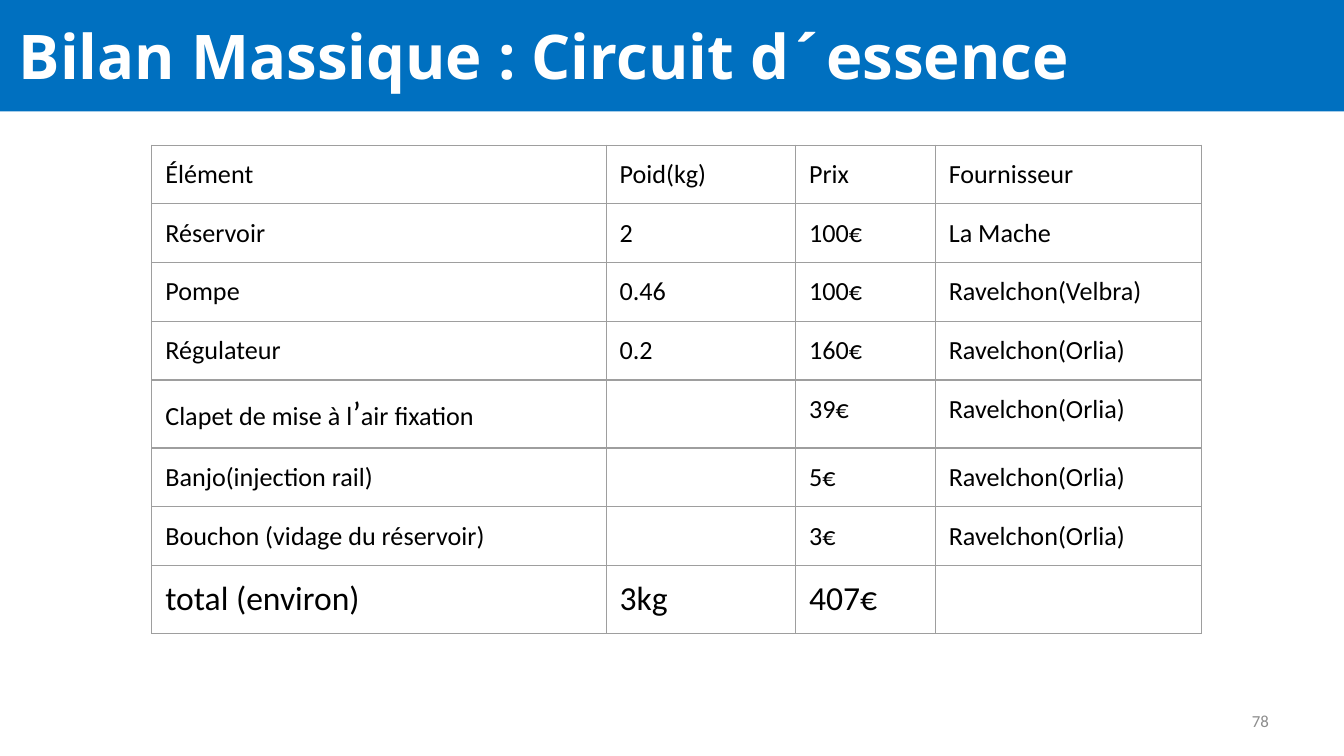
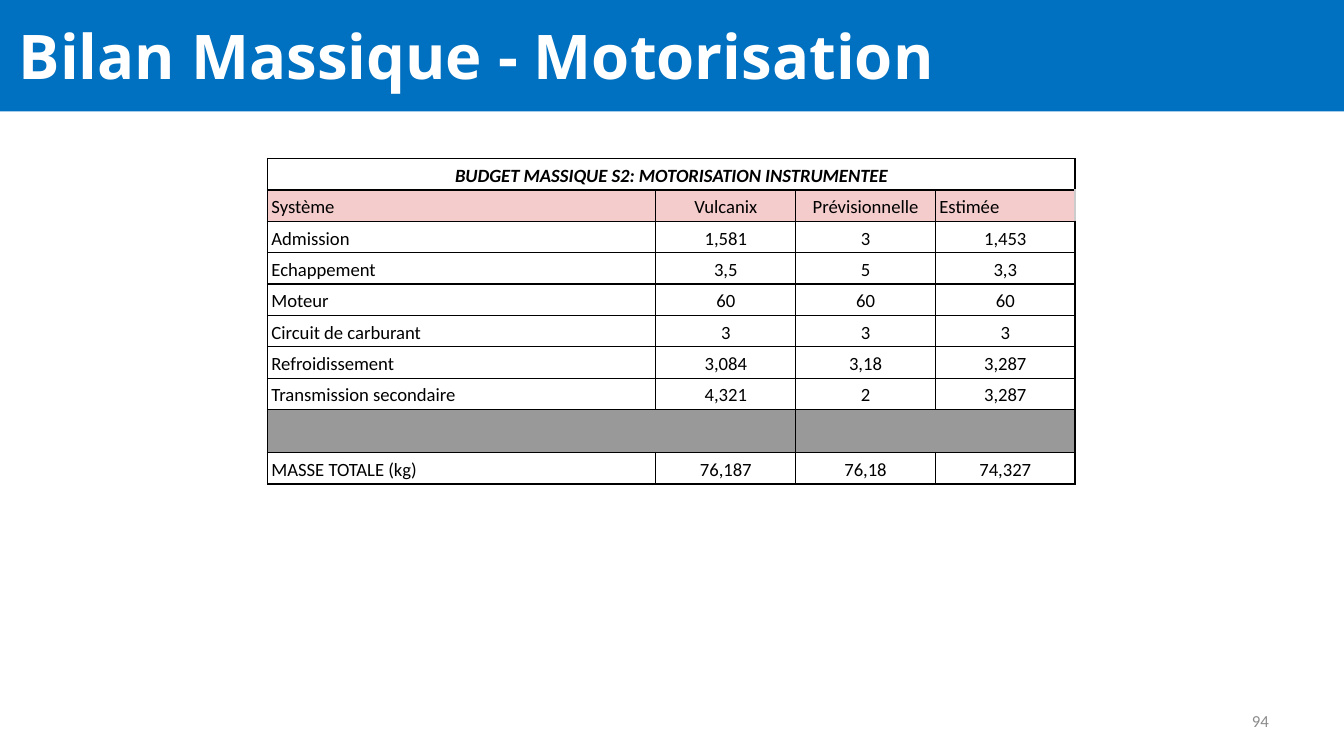
from lxml import etree
from pptx import Presentation
from pptx.dml.color import RGBColor
from pptx.enum.shapes import MSO_SHAPE
from pptx.enum.text import MSO_ANCHOR, MSO_AUTO_SIZE, PP_ALIGN
from pptx.oxml.ns import qn
from pptx.util import Inches, Pt

RECT = MSO_SHAPE.RECTANGLE
TOP, MIDDLE, BOTTOM = MSO_ANCHOR.TOP, MSO_ANCHOR.MIDDLE, MSO_ANCHOR.BOTTOM
LEFT, CENTER, RIGHT = PP_ALIGN.LEFT, PP_ALIGN.CENTER, PP_ALIGN.RIGHT
NO_AUTOFIT = MSO_AUTO_SIZE.NONE

BLUE = RGBColor(0x00, 0x70, 0xC0)
WHITE = RGBColor(0xFF, 0xFF, 0xFF)
BLACK = RGBColor(0x00, 0x00, 0x00)
NUMBER_GREY = RGBColor(0x8C, 0x8C, 0x8C)
RULE_GREY = RGBColor(0x9E, 0x9E, 0x9E)
PALE_GREY = RGBColor(0xCC, 0xCC, 0xCC)
SEPARATOR_GREY = RGBColor(0x99, 0x99, 0x99)
PINK = RGBColor(0xF4, 0xCC, 0xCC)

TITLE_FONT, BODY_FONT = "Open Sans", "Calibri"

FUEL_ROWS = [
    ["Élément", "Poid(kg)", "Prix", "Fournisseur"],
    ["Réservoir", "2", "100€", "La Mache"],
    ["Pompe", "0.46", "100€", "Ravelchon(Velbra)"],
    ["Régulateur", "0.2", "160€", "Ravelchon(Orlia)"],
    ["Clapet de mise à l’air fixation", "", "39€", "Ravelchon(Orlia)"],
    ["Banjo(injection rail)", "", "5€", "Ravelchon(Orlia)"],
    ["Bouchon (vidage du réservoir)", "", "3€", "Ravelchon(Orlia)"],
    ["total (environ)", "3kg", "407€", ""],
]

ENGINE_ROWS = [
    ["BUDGET MASSIQUE S2: MOTORISATION INSTRUMENTEE", "", "", ""],
    ["Système", "Vulcanix", "Prévisionnelle", "Estimée"],
    ["Admission", "1,581", "3", "1,453"],
    ["Echappement", "3,5", "5", "3,3"],
    ["Moteur", "60", "60", "60"],
    ["Circuit de carburant", "3", "3", "3"],
    ["Refroidissement", "3,084", "3,18", "3,287"],
    ["Transmission secondaire", "4,321", "2", "3,287"],
    ["", "", "", ""],
    ["MASSE TOTALE (kg)", "76,187", "76,18", "74,327"],
]


def add_run(p, text, size, color=BLACK, font=BODY_FONT, bold=False, italic=False):
    r = p.add_run()
    r.text = text
    r.font.name, r.font.size = font, Pt(size)
    r.font.bold, r.font.italic = bold, italic
    r.font.color.rgb = color


def set_frame(tf, anchor, margin_x, margin_y):
    tf.word_wrap = True
    tf.auto_size = NO_AUTOFIT
    tf.vertical_anchor = anchor
    tf.margin_left = tf.margin_right = Inches(margin_x)
    tf.margin_top = tf.margin_bottom = Inches(margin_y)


def place(sp, left, top, width, height):
    sp.left, sp.top = Inches(left), Inches(top)
    sp.width, sp.height = Inches(width), Inches(height)


def add_titled_slide(prs, title, number):
    s = prs.slides.add_slide(prs.slide_layouts[5])

    # Band, placed behind the title
    band = s.shapes.add_shape(RECT, 0, 0, prs.slide_width, Inches(0.83))
    band.shadow.inherit = False
    band.fill.solid()
    band.fill.fore_color.rgb = BLUE
    band.line.fill.background()
    sp = s.shapes.title
    sp.element.addprevious(band.element)

    # Title
    place(sp, 0.04, 0.09, 9.86, 0.64)
    set_frame(sp.text_frame, MIDDLE, 0.1, 0.1)
    p = sp.text_frame.paragraphs[0]
    p.alignment = LEFT
    add_run(p, title, 33, WHITE, TITLE_FONT, bold=True)

    # Slide number
    box = s.shapes.add_textbox(Inches(7.29), Inches(5.21), Inches(2.25), Inches(0.3))
    set_frame(box.text_frame, MIDDLE, 0.1, 0.05)
    p = box.text_frame.paragraphs[0]
    p.alignment = RIGHT
    add_run(p, str(number), 9, NUMBER_GREY)
    return s


def set_border(cell, side, color):
    tc_pr = cell._tc.get_or_add_tcPr()
    ln = tc_pr.find(qn("a:ln" + side))
    if ln is None:
        ln = etree.SubElement(tc_pr, qn("a:ln" + side), w=str(Pt(0.75)))
        fill = etree.SubElement(ln, qn("a:solidFill"))
        etree.SubElement(fill, qn("a:srgbClr"))
    ln.find(".//" + qn("a:srgbClr")).set("val", str(color))


def fill_cell(cell, color):
    cell.fill.solid()
    cell.fill.fore_color.rgb = color


def add_table(s, left, top, col_widths, row_heights, border, anchor, margin_x, margin_y):
    frame = s.shapes.add_table(
        len(row_heights), len(col_widths), Inches(left), Inches(top),
        Inches(sum(col_widths)), Inches(sum(row_heights)))
    table = frame.table
    table.first_row = table.horz_banding = False
    for column, width in zip(table.columns, col_widths):
        column.width = Inches(width)
    for row, height in zip(table.rows, row_heights):
        row.height = Inches(height)
    for cell in table.iter_cells():
        for side in "LRTB":
            set_border(cell, side, border)
        cell.fill.background()
        cell.vertical_anchor = anchor
        cell.margin_left = cell.margin_right = Inches(margin_x)
        cell.margin_top = cell.margin_bottom = Inches(margin_y)
    return table


def write_cell(cell, text, size, align=LEFT, spacing=None, bold=False, italic=False):
    p = cell.text_frame.paragraphs[0]
    p.alignment = align
    if spacing:
        p.line_spacing = spacing
    if text:
        add_run(p, text, size, bold=bold, italic=italic)
    else:
        # Keeps an empty cell from stretching its row
        etree.SubElement(p._p, qn("a:endParaRPr"), sz=str(size * 100))


def add_fuel_slide(prs):
    s = add_titled_slide(prs, "Bilan Massique : Circuit d´essence", 78)
    table = add_table(s, 1.13, 1.08, [3.38, 1.41, 1.04, 1.98],
                      [0.43] * len(FUEL_ROWS), RULE_GREY, TOP, 0.1, 0.1)
    last = len(FUEL_ROWS) - 1
    for i, row in enumerate(FUEL_ROWS):
        for j, text in enumerate(row):
            cell = table.cell(i, j)
            before, apostrophe, after = text.partition("’")
            write_cell(cell, before, 18 if i == last else 14)
            if apostrophe:
                p = cell.text_frame.paragraphs[0]
                add_run(p, apostrophe, 18)
                add_run(p, after, 14)


def add_engine_slide(prs):
    s = add_titled_slide(prs, "Bilan Massique - Motorisation", 94)
    heading, header, separator = 0, 1, 8
    heights = [0.32 if i == separator else 0.23 for i in range(len(ENGINE_ROWS))]
    table = add_table(s, 1.99, 1.18, [2.89, 1.04, 1.04, 1.04],
                      heights, BLACK, BOTTOM, 0.03, 0.02)
    row_fills = {header: PINK, separator: SEPARATOR_GREY}
    for i, row in enumerate(ENGINE_ROWS):
        for j, text in enumerate(row):
            cell = table.cell(i, j)
            is_left = (j == 0 and i != heading) or (i == header and j == 3)
            write_cell(cell, text, 10, LEFT if is_left else CENTER, 1.15,
                       bold=i == heading, italic=i == heading)
            if i in row_fills:
                fill_cell(cell, row_fills[i])
    set_border(table.cell(header, 3), "R", PALE_GREY)

    # Merged cells
    table.cell(heading, 0).merge(table.cell(heading, 3))
    for j in (0, 2):
        table.cell(separator, j).merge(table.cell(separator, j + 1))


def main():
    prs = Presentation()
    # Widescreen, 16:9
    prs.slide_width = Inches(10)
    prs.slide_height = prs.slide_width * 9 // 16
    add_fuel_slide(prs)
    add_engine_slide(prs)
    prs.save("out.pptx")


if __name__ == "__main__":
    main()
